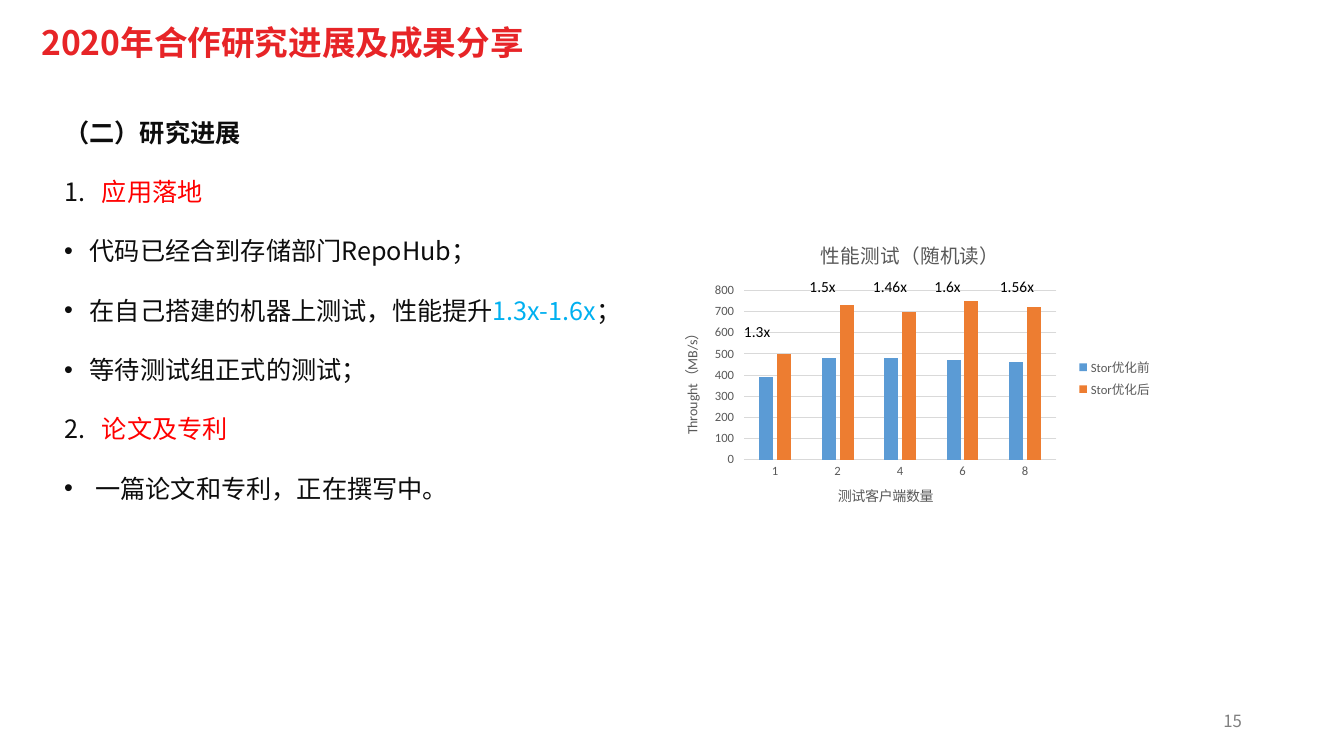
from lxml.etree import SubElement
from pptx import Presentation
from pptx.chart.data import CategoryChartData
from pptx.dml.color import RGBColor
from pptx.enum.chart import XL_CHART_TYPE as ChartType, XL_LEGEND_POSITION as LegendPos
from pptx.enum.chart import XL_TICK_MARK as TickMark
from pptx.enum.text import MSO_ANCHOR as Anchor, PP_ALIGN as Align
from pptx.oxml import parse_xml
from pptx.oxml.ns import nsdecls, qn
from pptx.util import Cm, Pt

CJK, LATIN = "Noto Sans CJK SC", "Calibri"
INK, RED, CYAN, GREY = "0D0D0D", "FF0000", "00B0F0", "595959"

# Each line: marker (bullet, list number or none), then its coloured runs
PROGRESS = [
    (1, [("应用落地", RED)]),
    ("•", [("代码已经合到存储部门RepoHub；", INK)]),
    ("•", [("在自己搭建的机器上测试，性能提升", INK), ("1.3x-1.6x", CYAN), ("；", INK)]),
    ("•", [("等待测试组正式的测试；", INK)]),
    (2, [("论文及专利", RED)]),
    ("•", [(" 一篇论文和专利，正在撰写中。", INK)]),
]
CLIENTS = ["1", "2", "4", "6", "8"]
THROUGHPUT = [
    ("Stor优化前", "5B9BD5", [390, 480, 480, 470, 460]),
    ("Stor优化后", "ED7D31", [500, 730, 700, 750, 720]),
]
# Speed-up text with its offset from the chart's corner, in cm
SPEEDUPS = [("1.3x", 1.91, 2.26), ("1.5x", 3.56, 1.14), ("1.46x", 5.16, 1.14),
            ("1.6x", 6.71, 1.14), ("1.56x", 8.36, 1.14)]


def rgb(value):
    return RGBColor.from_string(value)


def style_font(font, size, color, name=LATIN, bold=False):
    font.size, font.bold, font.name = Pt(size), bold, name
    font.color.rgb = rgb(color)


def add_run(paragraph, text, size, color, name=CJK, bold=False):
    run = paragraph.add_run()
    run.text = text
    style_font(run.font, size, color, name, bold)
    SubElement(run.font._element, qn("a:ea"), typeface=name)


def add_text_frame(slide, left, top, width, height, anchor=Anchor.TOP):
    frame = slide.shapes.add_textbox(Cm(left), Cm(top), Cm(width), Cm(height)).text_frame
    frame.word_wrap = True
    frame.vertical_anchor = anchor
    return frame


def set_marker(paragraph, marker):
    """Give the paragraph a hanging bullet or list number."""
    numbered = isinstance(marker, int)
    indent = Cm(0.95 if numbered else 0.64)
    props = paragraph._p.get_or_add_pPr()
    props.set("marL", str(indent))
    props.set("indent", str(-indent))
    SubElement(SubElement(props, qn("a:buClr")), qn("a:srgbClr"), val=INK)
    SubElement(props, qn("a:buFont"), typeface=CJK if numbered else "Arial")
    if numbered:
        SubElement(props, qn("a:buAutoNum"), type="arabicPeriod", startAt=str(marker))
    else:
        SubElement(props, qn("a:buChar"), char=marker)


def add_heading(slide, left, top, width, height):
    paragraph = add_text_frame(slide, left, top, width, height, Anchor.MIDDLE).paragraphs[0]
    paragraph.line_spacing = 0.9
    add_run(paragraph, "2020年合作研究进展及成果分享", 24, "E72427", bold=True)


def add_page_number(slide, left, top, width, height):
    paragraph = add_text_frame(slide, left, top, width, height, Anchor.MIDDLE).paragraphs[0]
    paragraph.alignment = Align.RIGHT
    add_run(paragraph, "15", 12, "808080")


def add_progress(slide, left, top, width, height):
    frame = add_text_frame(slide, left, top, width, height)
    section = frame.paragraphs[0]
    section.line_spacing = 1.5
    add_run(section, "（二）研究进展", 18, INK, bold=True)
    for marker, runs in PROGRESS:
        paragraph = frame.add_paragraph()
        paragraph.line_spacing, paragraph.space_before = 1.5, Pt(10)
        set_marker(paragraph, marker)
        for text, color in runs:
            add_run(paragraph, text, 18, color)


def set_title(owner, text, size):
    """Title a chart or one of its axes."""
    title = owner.chart_title if hasattr(owner, "chart_title") else owner.axis_title
    add_run(title.text_frame.paragraphs[0], text, size, GREY, LATIN)


def place_plot(chart, x, y, w, h):
    """Fix the inner plot area, in fractions of the chart."""
    area = chart._chartSpace.chart.plotArea
    for old in area.findall(qn("c:layout")):
        area.remove(old)
    area.insert(0, parse_xml(
        f'<c:layout {nsdecls("c")}><c:manualLayout><c:layoutTarget val="inner"/>'
        f'<c:xMode val="edge"/><c:yMode val="edge"/><c:x val="{x}"/><c:y val="{y}"/>'
        f'<c:w val="{w}"/><c:h val="{h}"/></c:manualLayout></c:layout>'))


def add_throughput_chart(slide, left, top, width, height):
    data = CategoryChartData()
    data.categories = CLIENTS
    for name, _, values in THROUGHPUT:
        data.add_series(name, values)
    chart = slide.shapes.add_chart(ChartType.COLUMN_CLUSTERED, Cm(left), Cm(top),
                                   Cm(width), Cm(height), data).chart
    style_font(chart.font, 10, "000000")
    set_title(chart, "性能测试（随机读）", 14)
    place_plot(chart, 0.17, 0.21, 0.62, 0.56)

    # Columns
    plot = chart.plots[0]
    plot.gap_width, plot.overlap, plot.vary_by_categories = 219, -27, False
    for series, (_, color, _) in zip(plot.series, THROUGHPUT):
        series.format.fill.solid()
        series.format.fill.fore_color.rgb = rgb(color)

    # Axes
    clients, speed = chart.category_axis, chart.value_axis
    set_title(clients, "测试客户端数量", 10)
    set_title(speed, "Throught（MB/s）", 10)
    for axis in (clients, speed):
        style_font(axis.tick_labels.font, 9, GREY)
    clients.major_tick_mark = TickMark.NONE
    speed.minimum_scale, speed.maximum_scale, speed.major_unit = 0, 800, 100
    speed.format.line.fill.background()
    for line in (clients.format.line, speed.major_gridlines.format.line):
        line.width = Pt(0.75)
        line.color.rgb = rgb("D9D9D9")

    # Legend
    chart.has_legend = True
    chart.legend.position = LegendPos.RIGHT
    chart.legend.include_in_layout = False
    style_font(chart.legend.font, 9, GREY)

    # Speed-ups above the columns
    for text, dx, dy in SPEEDUPS:
        label = add_text_frame(slide, left + dx, top + dy, 1.65, 0.84)
        add_run(label.paragraphs[0], text, 11, "000000", LATIN)


def main():
    deck = Presentation()
    deck.slide_width, deck.slide_height = Cm(33.87), Cm(19.05)
    slide = deck.slides.add_slide(deck.slide_layouts[6])
    add_heading(slide, 0.79, 0.38, 26.04, 1.47)
    add_page_number(slide, 23.93, 17.65, 7.62, 1.02)
    add_progress(slide, 1.37, 2.44, 31.12, 14.17)
    add_throughput_chart(slide, 16.59, 5.72, 12.7, 7.62)
    deck.save("out.pptx")


if __name__ == "__main__":
    main()
